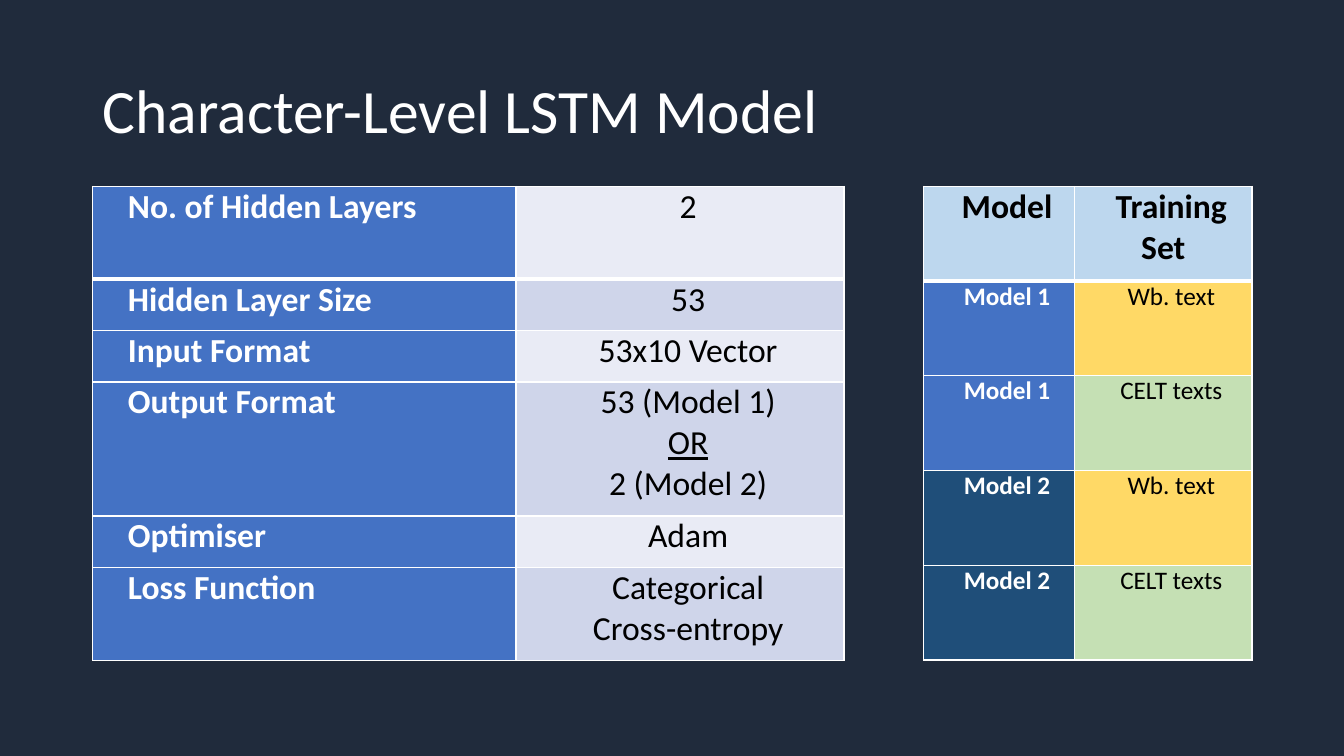
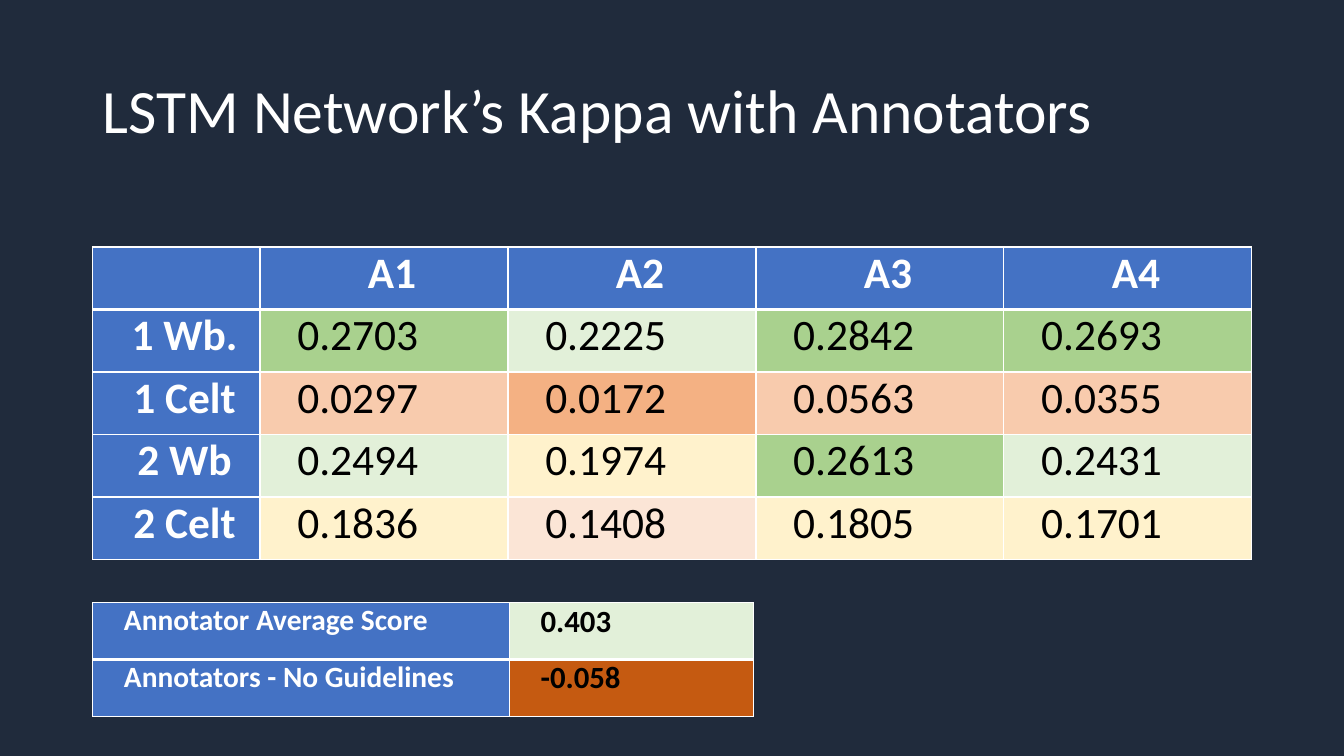
from lxml.etree import SubElement
from pptx import Presentation
from pptx.dml.color import RGBColor
from pptx.enum.text import MSO_ANCHOR, PP_ALIGN
from pptx.oxml.ns import qn
from pptx.util import Inches, Pt

FONT = "Calibri"
NIGHT, WHITE, BLACK = "202B3C", "FFFFFF", "000000"
BLUE, NAVY, SKY = "4472C4", "1F4E79", "BDD7EE"
BANDS = ["E9EBF5", "CFD5EA"]
GOLD, LEAF = "FFD966", "C5E0B4"
GREEN, MINT, CREAM, BLUSH = "A9D18E", "E2F0D9", "FFF2CC", "FBE5D6"
PEACH, CORAL, RUST = "F8CBAD", "F4B183", "C55A11"
MARGIN, TOP = 6.9, 24.67  # percent of the slide's width and height


def paint(fill, color):
    fill.solid()
    fill.fore_color.rgb = RGBColor.from_string(color)


def write(frame, text, size=24, color=BLACK, bold=False,
          align=PP_ALIGN.LEFT, indent=0, under=None, leading=None):
    """Write one paragraph per line; the line equal to under is underlined."""
    for i, line in enumerate(text.split("\n")):
        para = frame.add_paragraph() if i else frame.paragraphs[0]
        para.alignment = align
        para.line_spacing = leading
        if indent:
            props = para._p.get_or_add_pPr()
            props.set("marL", "0")
            props.set("indent", str(Inches(indent)))
        run = para.add_run()
        run.text = line
        font = run.font
        font.name, font.size, font.bold = FONT, Pt(size), bold
        font.underline = line == under
        paint(font.fill, color)


def border(cell, **widths):
    """Draw white borders; widths in points, in the order L, R, T, B."""
    props = cell._tc.get_or_add_tcPr()
    for side, width in widths.items():
        line = SubElement(props, qn(f"a:ln{side}"), w=str(Pt(width)))
        fill = SubElement(line, qn("a:solidFill"))
        SubElement(fill, qn("a:srgbClr"), val=WHITE)


def entry(text, fill, **style):
    return dict(text=text, fill=fill, style=style)


def label(text, fill=BLUE, color=WHITE, **style):
    return entry(text, fill, color=color, bold=True, **style)


class Deck:
    """Holds the shared style and the current slide; lengths are percents."""

    def __init__(self):
        self.show = Presentation()
        self.show.slide_width, self.show.slide_height = Inches(13.33), Inches(7.5)
        paint(self.show.slide_master.background.fill, NIGHT)
        self.layout = self.show.slide_layouts[5]
        title = self.layout.placeholders[0]
        title.left, title.top = self.across(MARGIN), self.down(5.33)
        title.width, title.height = self.across(88.8), self.down(19.33)
        title.text_frame.vertical_anchor = MSO_ANCHOR.MIDDLE

    def across(self, share):
        return round(self.show.slide_width * share / 100)

    def down(self, share):
        return round(self.show.slide_height * share / 100)

    def page(self, title):
        self.slide = self.show.slides.add_slide(self.layout)
        write(self.slide.shapes.title.text_frame, title,
              size=44, color=WHITE, leading=0.9)

    def table(self, left, top, cols, rows, cells, inset):
        """Place a grid of entries, with a heavy rule under its first row."""
        frame = self.slide.shapes.add_table(
            len(rows), len(cols), self.across(left), self.down(top),
            self.across(sum(cols)), self.down(sum(rows)))
        grid = frame.table
        grid.horz_banding = False
        for col, share in zip(grid.columns, cols):
            col.width = self.across(share)
        for row, share in zip(grid.rows, rows):
            row.height = self.down(share)
        for r, line in enumerate(cells):
            for c, item in enumerate(line):
                cell = grid.cell(r, c)
                cell.margin_left = cell.margin_right = Inches(inset)
                cell.margin_top = cell.margin_bottom = 0
                border(cell, L=1, R=1, T=3 if r == 1 else 1, B=1 if r else 3)
                paint(cell.fill, item["fill"])
                if item["text"]:
                    write(cell.text_frame, item["text"], indent=0.16, **item["style"])


def model(deck):
    deck.page("Character-Level LSTM Model")
    mid = dict(align=PP_ALIGN.CENTER)
    facts = [("No. of Hidden Layers", "2"), ("Hidden Layer Size", "53"),
             ("Input Format", "53x10 Vector"),
             ("Output Format", "53 (Model 1)\nOR\n2 (Model 2)"),
             ("Optimiser", "Adam"), ("Loss Function", "Categorical\nCross-entropy")]
    cells = [[label(name), entry(value, BANDS[i % 2], under="OR", **mid)]
             for i, (name, value) in enumerate(facts)]
    deck.table(MARGIN, TOP, [31.5, 24.4], [12.27, 6.8, 6.8, 17.73, 6.8, 12.27],
               cells, inset=0.19)

    cells = [[label(name, SKY, BLACK, **mid) for name in ("Model", "Training Set")]]
    for name, shade in (("Model 1", BLUE), ("Model 2", NAVY)):
        for text, fill in (("Wb. text", GOLD), ("CELT texts", LEAF)):
            cells.append([label(name, shade, size=18, **mid),
                          entry(text, fill, size=18, **mid)])
    deck.table(68.7, TOP, [11.25, 13.2], [12.53] * 5, cells, inset=0.07)


def kappa(deck):
    deck.page("LSTM Network’s Kappa with Annotators")
    head = dict(size=31, align=PP_ALIGN.CENTER)
    body = dict(size=31, align=PP_ALIGN.JUSTIFY)
    scores = {
        "1 Wb.": [("0.2703", GREEN), ("0.2225", MINT), ("0.2842", GREEN), ("0.2693", GREEN)],
        "1 Celt": [("0.0297", PEACH), ("0.0172", CORAL), ("0.0563", PEACH), ("0.0355", PEACH)],
        "2 Wb": [("0.2494", MINT), ("0.1974", CREAM), ("0.2613", GREEN), ("0.2431", MINT)],
        "2 Celt": [("0.1836", CREAM), ("0.1408", BLUSH), ("0.1805", CREAM), ("0.1701", CREAM)],
    }
    cells = [[label(name, **head) for name in ("", "A1", "A2", "A3", "A4")]]
    for name, line in scores.items():
        cells.append([label(name, **head)]
                     + [entry(text, fill, **body) for text, fill in line])
    deck.table(MARGIN, 32.67, [12.45] + [18.45] * 4, [8.27] * 5, cells, inset=0.21)

    flush = dict(align=PP_ALIGN.JUSTIFY)
    means = [("Annotator Average Score", "0.403", MINT),
             ("Annotators - No Guidelines", "-0.058", RUST)]
    cells = [[label(name, size=21, **flush),
              label(value, fill, BLACK, size=22, **flush)]
             for name, value, fill in means]
    deck.table(MARGIN, 79.73, [31, 18.15], [7.5] * 2, cells, inset=0.15)


def main():
    deck = Deck()
    model(deck)
    kappa(deck)
    deck.show.save("out.pptx")


if __name__ == "__main__":
    main()
